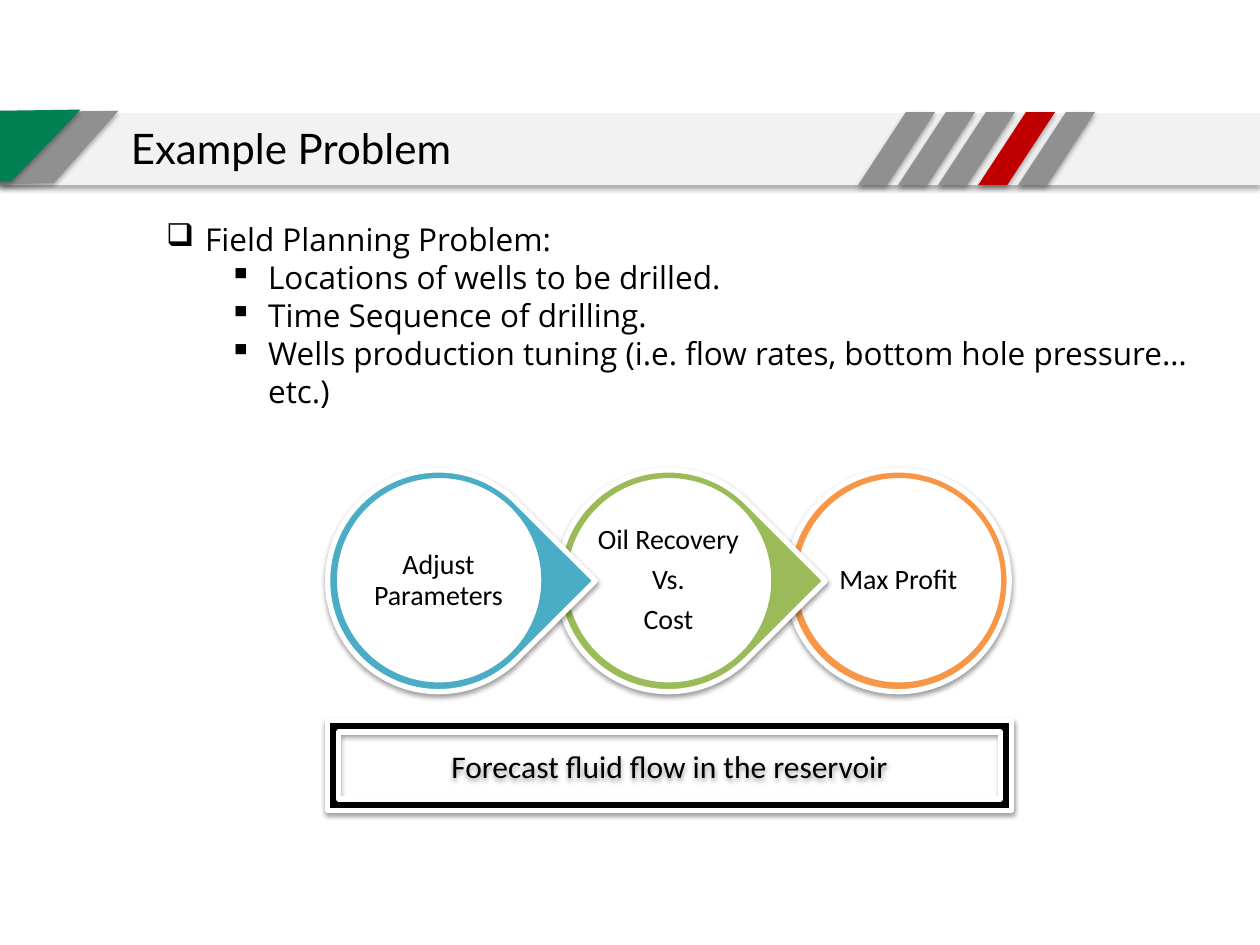
from dataclasses import dataclass

from lxml import etree
from pptx import Presentation
from pptx import util as u
from pptx.dml.color import RGBColor
from pptx.enum import shapes as sh, text as tx
from pptx.oxml import ns

Inches, Pt = u.Inches, u.Pt


@dataclass(frozen=True)
class Theme:
    band: str = "F2F2F2"
    grey: str = "909090"
    green: str = "008053"
    red: str = "C00000"
    white: str = "FFFFFF"
    black: str = "000000"
    blue: str = "4BACC6"
    lime: str = "9BBB59"
    orange: str = "F79646"
    title: int = 24
    body: int = 18
    step: int = 16
    header_shadow: tuple = (35, 1.8)  # opacity in percent, distance in points
    diagram_shadow: tuple = (38, 1.6)


theme = Theme()


def paint(shape, fill, line=None, width=0, shadow=None):
    """Set fill, outline and an optional downward shadow."""
    shape.shadow.inherit = False
    shape.fill.solid()
    shape.fill.fore_color.rgb = RGBColor.from_string(fill)
    if line:
        shape.line.color.rgb = RGBColor.from_string(line)
        shape.line.width = Pt(width)
    else:
        shape.line.fill.background()
    if shadow:
        opacity, distance = shadow
        effects = shape._element.spPr.find(ns.qn("a:effectLst"))
        outer = etree.SubElement(
            effects, ns.qn("a:outerShdw"), blurRad=str(Pt(3.1)),
            dist=str(Pt(distance)), dir="5400000", rotWithShape="0")
        color = etree.SubElement(outer, ns.qn("a:srgbClr"), val=theme.black)
        etree.SubElement(color, ns.qn("a:alpha"), val=str(opacity * 1000))


def write(paragraph, words, font, size):
    run = paragraph.add_run()
    run.text = words
    run.font.name = font
    run.font.size = Pt(size)
    run.font.color.rgb = RGBColor.from_string(theme.black)


prs = Presentation()
prs.slide_width, prs.slide_height = Inches(10), Inches(7.5)
slide = prs.slides.add_slide(prs.slide_layouts[6])
canvas = slide.shapes

# Header band
band = canvas.add_shape(sh.MSO_SHAPE.RECTANGLE, 0, Inches(0.9), Inches(10), Inches(0.57))
paint(band, theme.band, shadow=theme.header_shadow)

# Header wedges on the left, slanted stripes on the right
slants = [
    (theme.grey, [(-0.02, 1.47), (0, 0.89), (0.94, 0.88), (0.43, 1.45)]),
    (theme.green, [(-0.04, 1.44), (-0.04, 0.88), (0.64, 0.87), (0.09, 1.44)]),
]
for i in range(5):
    x = 6.81 + i * 0.3175
    color = theme.red if i == 3 else theme.grey
    slants.append((color, [(x, 1.47), (x + 0.38, 0.89), (x + 0.61, 0.89), (x + 0.23, 1.47)]))
for color, corners in slants:
    points = [(Inches(x), Inches(y)) for x, y in corners]
    builder = canvas.build_freeform(*points[0])
    builder.add_line_segments(points[1:], close=True)
    paint(builder.convert_to_shape(), color, shadow=theme.header_shadow)

# Title
title = canvas.add_textbox(Inches(0.94), Inches(0.92), Inches(2.75), Inches(0.5)).text_frame
title.word_wrap = False
title.auto_size = tx.MSO_AUTO_SIZE.SHAPE_TO_FIT_TEXT
write(title.paragraphs[0], "Example Problem", "Lato", theme.title)

# Bulleted problem statement
problem = canvas.add_textbox(Inches(1.22), Inches(1.7), Inches(8.49), Inches(1.62)).text_frame
problem.word_wrap = True
problem.auto_size = tx.MSO_AUTO_SIZE.SHAPE_TO_FIT_TEXT
points = [
    (0, "Field Planning Problem:"),
    (1, "Locations of wells to be drilled."),
    (1, "Time Sequence of drilling."),
    (1, "Wells production tuning (i.e. flow rates, bottom hole pressure… etc.)"),
]
for i, (level, words) in enumerate(points):
    paragraph = problem.add_paragraph() if i else problem.paragraphs[0]
    paragraph.level = level
    props = paragraph._p.get_or_add_pPr()
    props.set("marL", str(Inches(0.31 + 0.5 * level)))
    props.set("indent", str(Inches(-0.31)))
    etree.SubElement(props, ns.qn("a:buChar"), char="❑▪"[level])
    write(paragraph, words, "Open Sans", theme.body)

# Process steps, drawn from the last so that each drop overlaps the next
steps = [
    (theme.blue, ["Adjust Parameters"]),
    (theme.lime, ["Oil Recovery", "Vs.", "Cost"]),
    (theme.orange, ["Max Profit"]),
]
for i, (color, lines) in reversed(list(enumerate(steps))):
    left = 2.6 + i * 1.825
    last = i == len(steps) - 1
    kind = sh.MSO_SHAPE.OVAL if last else sh.MSO_SHAPE.TEAR
    drop = canvas.add_shape(kind, Inches(left), Inches(3.73), Inches(1.76), Inches(1.76))
    if not last:
        drop.adjustments[0] = 1
        drop.rotation = 45
    paint(drop, color, theme.white, 3, theme.diagram_shadow)

    disc = canvas.add_shape(sh.MSO_SHAPE.OVAL, Inches(left + 0.06), Inches(3.78),
                            Inches(1.65), Inches(1.65))
    paint(disc, theme.white, color, 2)

    label = canvas.add_textbox(Inches(left + 0.29), Inches(4.02),
                               Inches(1.18), Inches(1.18)).text_frame
    label.word_wrap = True
    label.vertical_anchor = tx.MSO_ANCHOR.MIDDLE
    label.margin_left = label.margin_right = Inches(0.02)
    label.margin_top = label.margin_bottom = Inches(0.02)
    for j, words in enumerate(lines):
        paragraph = label.add_paragraph() if j else label.paragraphs[0]
        paragraph.alignment = tx.PP_ALIGN.CENTER
        paragraph.line_spacing = 0.9
        paragraph.space_after = Pt(5.6)
        write(paragraph, words, "Calibri", theme.step)

# Framed forecast under the steps
forecast = canvas.add_shape(sh.MSO_SHAPE.FRAME, Inches(2.6), Inches(5.72),
                            Inches(5.43), Inches(0.71))
paint(forecast, theme.black, theme.white, 3, theme.diagram_shadow)
forecast.text_frame.word_wrap = True
forecast.text_frame.vertical_anchor = tx.MSO_ANCHOR.MIDDLE
caption = forecast.text_frame.paragraphs[0]
caption.alignment = tx.PP_ALIGN.CENTER
write(caption, "Forecast fluid flow in the reservoir", "Calibri", theme.body)

prs.save("out.pptx")
